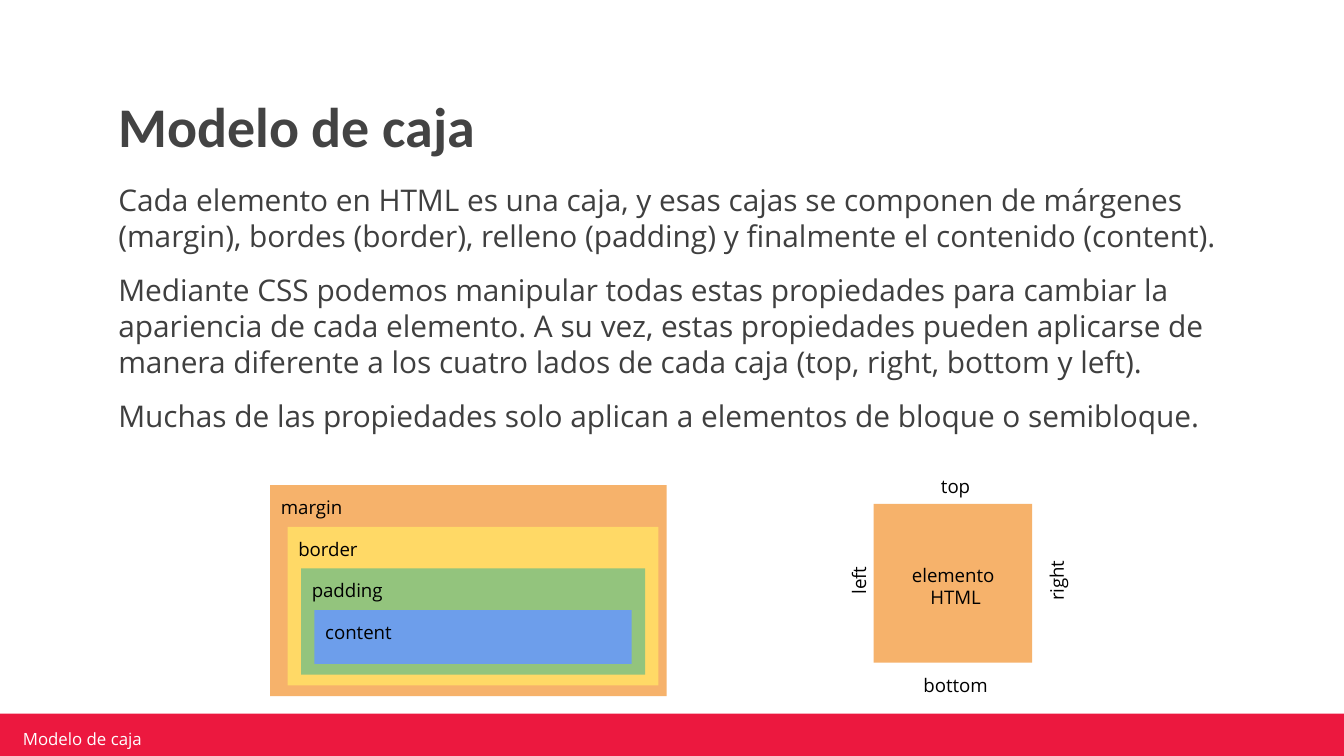
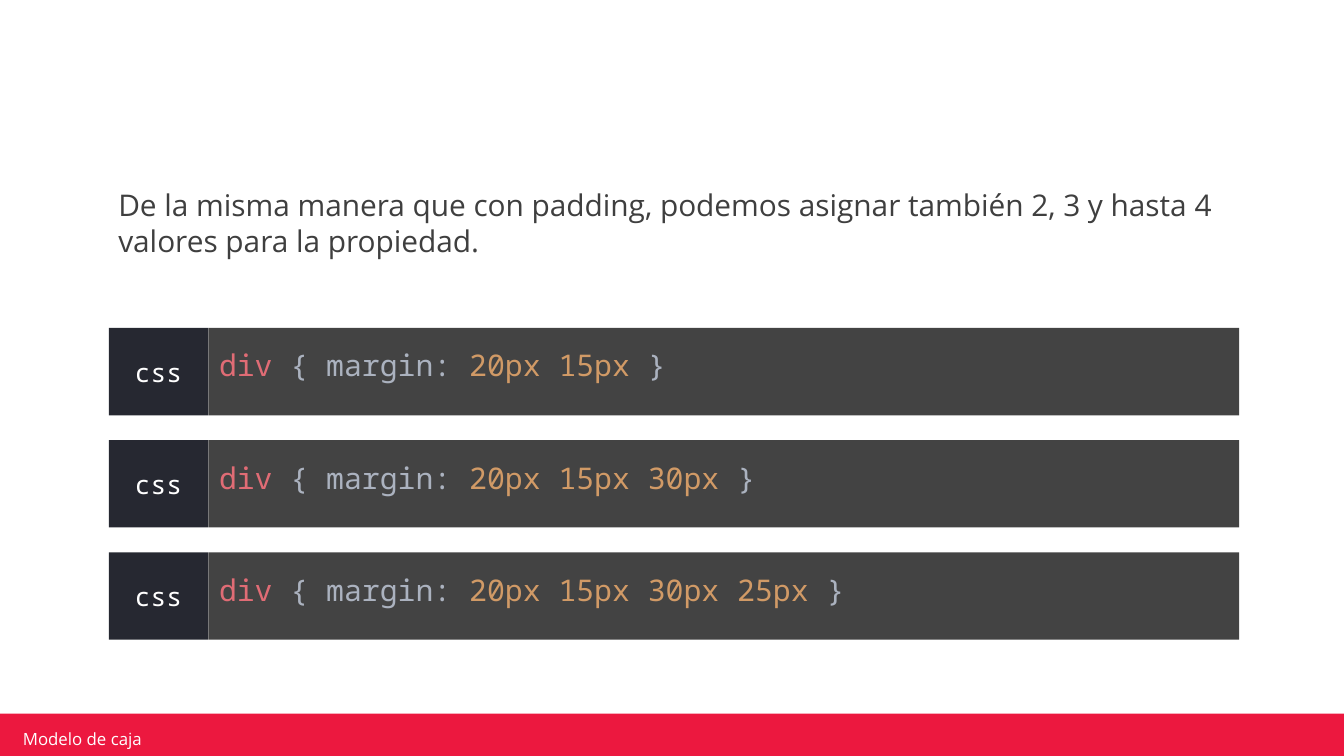
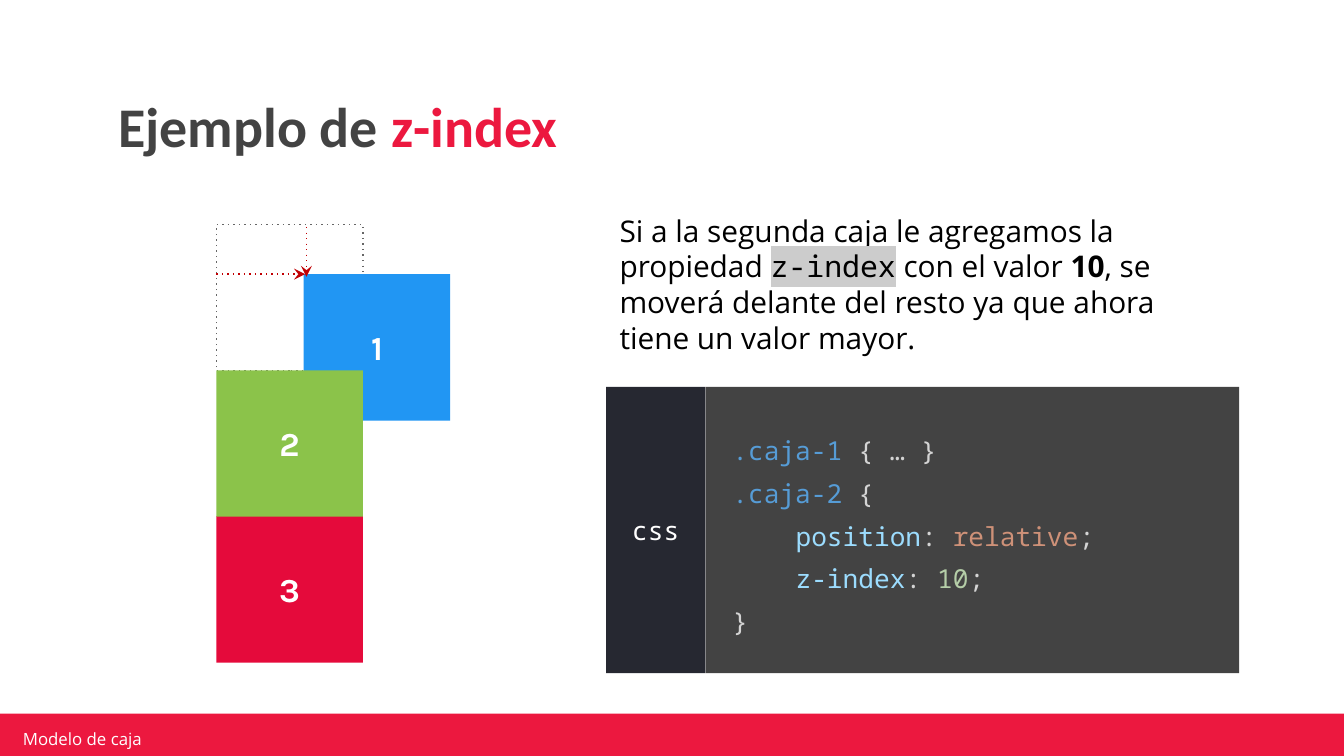
"""Build three lesson slides about the CSS box model."""
from dataclasses import dataclass

from lxml.etree import SubElement
from pptx import Presentation
from pptx.dml.color import RGBColor
from pptx.enum.dml import MSO_LINE
from pptx.enum.shapes import MSO_CONNECTOR, MSO_SHAPE
from pptx.enum.text import MSO_ANCHOR, MSO_AUTO_SIZE, PP_ALIGN
from pptx.oxml.ns import qn
from pptx.util import Inches, Pt


@dataclass(frozen=True)
class Theme:
    """Colours, fonts and sizes shared by all slides."""
    red: str = "EC183F"
    white: str = "FFFFFF"
    black: str = "000000"
    dark: str = "434343"
    text: str = "3F3F3F"
    tab: str = "262831"
    orange: str = "F6B26B"
    yellow: str = "FFD966"
    green: str = "93C47D"
    blue: str = "6D9EEB"
    first: str = "2196F3"
    second: str = "8BC34A"
    third: str = "E50A3B"
    ghost: str = "666666"
    arrow: str = "C10003"
    mark: str = "CCCCCC"
    tag: str = "E06C75"
    plain: str = "ABB2BF"
    number: str = "D19A66"
    selector: str = "569CD6"
    sign: str = "D4D4D4"
    key: str = "9CDCFE"
    word: str = "CE9178"
    digit: str = "B5CEA8"
    sans: str = "Open Sans"
    mono: str = "Noto Sans Mono"
    heading: str = "Calibri"
    display: str = "Karla"
    title_size: int = 30
    square_size: int = 18
    body_size: int = 16
    code_size: int = 14
    label_size: int = 10
    footer_size: int = 9


THEME = Theme()
TITLE = {"size": THEME.title_size, "name": THEME.heading, "color": THEME.dark, "bold": True}
BODY = {"size": THEME.body_size, "name": THEME.sans, "color": THEME.text}
INTRO = {**BODY, "color": THEME.black}
LABEL = {"size": THEME.label_size, "name": THEME.sans, "color": THEME.black}
FOOTER = {"size": THEME.footer_size, "name": THEME.sans, "color": THEME.white}
CODE = {"size": THEME.body_size, "name": THEME.mono, "color": THEME.plain}
CODE_SMALL = {"size": THEME.code_size, "name": THEME.mono, "color": THEME.sign}
TAB = {**CODE_SMALL, "color": THEME.white}
DIGIT = {"size": THEME.square_size, "name": THEME.display, "color": THEME.white, "bold": True}

EVEN = (0.1, 0.1, 0.1, 0.1)
SNUG = (0.08, 0.08, 0.04, 0.04)
CENTRED = {"alignment": PP_ALIGN.CENTER}
RIGHT_EDGE = 9.22
TAB_WIDTH = 0.74

FOOTER_TEXT = "Modelo de caja"
BOX_MODEL_TEXT = [
    "Cada elemento en HTML es una caja, y esas cajas se componen de márgenes (margin), "
    "bordes (border), relleno (padding) y finalmente el contenido (content).",
    "Mediante CSS podemos manipular todas estas propiedades para cambiar la apariencia de "
    "cada elemento. A su vez, estas propiedades pueden aplicarse de manera diferente a los "
    "cuatro lados de cada caja (top, right, bottom y left).",
    "Muchas de las propiedades solo aplican a elementos de bloque o semibloque.",
]
NESTED_BOXES = [
    ("margin", 2.01, 2.95, THEME.orange),
    ("border", 2.14, 2.76, THEME.yellow),
    ("padding", 2.24, 2.56, THEME.green),
    ("content", 2.34, 2.36, THEME.blue),
]
SIDES = [("top", 6.5, 3.45, 0), ("bottom", 6.5, 4.93, 0),
         ("left", 5.78, 4.19, 270), ("right", 7.25, 4.19, 270)]
MARGIN_TEXT = ["De la misma manera que con padding, podemos asignar también 2, 3 y hasta 4 "
               "valores para la propiedad."]
MARGIN_VALUES = ["20px 15px", "20px 15px 30px", "20px 15px 30px 25px"]
Z_INDEX_TITLE = [["Ejemplo de ", ("z-index", {"color": THEME.red})]]
Z_INDEX_TEXT = [[
    "Si a la segunda caja le agregamos la propiedad ",
    ("z-index", {"name": THEME.mono, "highlight": THEME.mark}),
    " con el valor ", ("10", {"bold": True}),
    ", se moverá delante del resto ya que ahora tiene un valor mayor.",
]]
Z_INDEX_CODE = [
    [(".caja-1", {"color": THEME.selector}), " { … }"],
    [(".caja-2", {"color": THEME.selector}), " {"],
    [("position", {"color": THEME.key}), ": ", ("relative", {"color": THEME.word}), ";"],
    [("z-index", {"color": THEME.key}), ": ", ("10", {"color": THEME.digit}), ";"],
    "}",
]
INDENTED_LINES = (2, 3)


def assign(target, values):
    """Set every named attribute of the target."""
    for name, value in values.items():
        setattr(target, name, value)


def place(box, left, top, width, height):
    """Move and size a box, in inches."""
    assign(box, dict(zip(("left", "top", "width", "height"),
                         map(Inches, (left, top, width, height)))))


def add_span(para, text, look):
    """Add one formatted run to a paragraph."""
    span = para.add_run()
    span.text = text
    assign(span.font, {"size": Pt(look["size"]), "name": look["name"],
                       "bold": look.get("bold", False)})
    span.font.color.rgb = RGBColor.from_string(look["color"])
    if "highlight" in look:
        properties = span._r.get_or_add_rPr()
        highlight = SubElement(properties, qn("a:highlight"))
        SubElement(highlight, qn("a:srgbClr"), val=look["highlight"])
        properties.find(qn("a:solidFill")).addnext(highlight)


def write(box, paragraphs, look, insets=EVEN, anchor=MSO_ANCHOR.MIDDLE, layout=None):
    """Fill a box with paragraphs of plain strings or (text, overrides) spans."""
    frame = box.text_frame
    assign(frame, {"word_wrap": True, "auto_size": MSO_AUTO_SIZE.NONE,
                   "vertical_anchor": anchor})
    sides = ("margin_left", "margin_top", "margin_right", "margin_bottom")
    assign(frame, dict(zip(sides, map(Inches, insets))))
    for index, spans in enumerate(paragraphs):
        para = frame.add_paragraph() if index else frame.paragraphs[0]
        assign(para, {"alignment": PP_ALIGN.LEFT, "space_before": Pt(0), **(layout or {})})
        for span in [spans] if isinstance(spans, str) else spans:
            text, changes = (span, {}) if isinstance(span, str) else span
            add_span(para, text, {**look, **changes})


def add_rectangle(shapes, bounds, fill=None):
    """Add a rectangle without shadow or outline."""
    box = shapes.add_shape(MSO_SHAPE.RECTANGLE, *map(Inches, bounds))
    box.shadow.inherit = False
    box.line.fill.background()
    if fill:
        box.fill.solid()
        box.fill.fore_color.rgb = RGBColor.from_string(fill)
    else:
        box.fill.background()
    return box


def dot_outline(shape, color):
    """Give a shape or connector a thin dotted line and return its XML."""
    shape.line.color.rgb = RGBColor.from_string(color)
    assign(shape.line, {"width": Pt(0.75), "dash_style": MSO_LINE.ROUND_DOT})
    outline = shape.element.spPr.find(qn("a:ln"))
    outline.find(qn("a:prstDash")).set("val", "dot")
    return outline


def add_arrow(page, start, end):
    """Add a dotted arrow between two points."""
    arrow = page.shapes.add_connector(MSO_CONNECTOR.STRAIGHT, *map(Inches, start + end))
    SubElement(dot_outline(arrow, THEME.arrow), qn("a:tailEnd"), type="stealth")
    SubElement(arrow.element.spPr, qn("a:effectLst"))


def add_code(page, left, top, height, lines, look, insets, layout):
    """Add a grouped code panel with its language tab and return the panel."""
    group = page.shapes.add_group_shape()
    start = left + TAB_WIDTH
    panel = add_rectangle(group.shapes, (start, top, RIGHT_EDGE - start, height), THEME.dark)
    write(panel, lines, look, insets, layout=layout)
    tab = add_rectangle(group.shapes, (left, top, TAB_WIDTH, height), THEME.tab)
    write(tab, ["css"], TAB, layout=CENTRED)
    return panel


def set_indent(para, left):
    """Set the left margin of a paragraph without a hanging indent."""
    properties = para._p.get_or_add_pPr()
    properties.set("marL", str(Inches(left)))
    properties.set("indent", "0")
    return properties


def add_page(deck, title, body, bounds, look=BODY, space=10):
    """Add a page with its title, if any, and body text."""
    page = deck.slides.add_slide(deck.slide_layouts[1])
    heading, content = page.placeholders
    if title:
        place(heading, 0.78, 0.6, 8.43, 0.69)
        write(heading, title, TITLE, anchor=MSO_ANCHOR.BOTTOM, layout={"line_spacing": 0.9})
    else:
        heading.element.getparent().remove(heading.element)
    place(content, *bounds)
    write(content, body, look, anchor=MSO_ANCHOR.TOP, layout={"space_before": Pt(space)})
    for para in content.text_frame.paragraphs:
        SubElement(set_indent(para, 0), qn("a:buNone"))
    return page


def add_footer(page):
    """Put the red band and its text on the layout of the page."""
    layout = page.slide_layout
    for holder in list(layout.placeholders)[2:]:
        holder.element.getparent().remove(holder.element)
    band = add_rectangle(page.shapes, (-0.02, 5.31, 10.03, 0.36), THEME.red)
    label = page.shapes.add_textbox(*map(Inches, (0.12, 5.42, 2.39, 0.15)))
    write(label, [FOOTER_TEXT], FOOTER, (0.05, 0.02, 0.05, 0.02))
    for box in (band, label):
        layout.shapes.element.append(box.element)


def build_box_model(deck):
    """Explain the parts and the sides of a box."""
    page = add_page(deck, ["Modelo de caja"], BOX_MODEL_TEXT, (0.78, 1.25, 8.43, 1.36))
    add_footer(page)
    for index, (name, left, width, fill) in enumerate(NESTED_BOXES):
        bounds = (left, 3.61 + 0.31 * index, width, 1.57 - 0.39 * index)
        write(add_rectangle(page.shapes, bounds, fill), [name], LABEL, SNUG, MSO_ANCHOR.TOP)
    element = add_rectangle(page.shapes, (6.5, 3.75, 1.18, 1.18), THEME.orange)
    write(element, ["elemento ", "HTML"], LABEL, SNUG, layout=CENTRED)
    for name, left, top, rotation in SIDES:
        side = page.shapes.add_textbox(*map(Inches, (left, top, 1.18, 0.3)))
        side.rotation = rotation
        write(side, [name], LABEL, SNUG, layout=CENTRED)


def build_margin_values(deck):
    """Show margins with two, three and four values."""
    page = add_page(deck, None, MARGIN_TEXT, (0.78, 1.29, 8.43, 1.36))
    first_top, last_top = 2.44, 4.11
    pitch = (last_top - first_top) / (len(MARGIN_VALUES) - 1)
    for index, values in enumerate(MARGIN_VALUES):
        line = [("div ", {"color": THEME.tag}), "{ margin: ",
                (values, {"color": THEME.number}), " }"]
        add_code(page, 0.81, first_top + pitch * index, 0.65, [line], CODE,
                 (0.08, 0, 0.1, 0.1), {"space_before": Pt(6)})


def build_z_index(deck):
    """Show stacked boxes beside the code that orders them."""
    page = add_page(deck, Z_INDEX_TITLE, Z_INDEX_TEXT, (4.51, 1.48, 4.71, 1.02), INTRO, 0)
    panel = add_code(page, 4.51, 2.88, 2.13, Z_INDEX_CODE, CODE_SMALL,
                     (0.2, 0, 0.1, 0), {"line_spacing": 1.36})
    for index in INDENTED_LINES:
        set_indent(panel.text_frame.paragraphs[index], 0.47)

    side, left = 1.09, 1.61
    ghost_top, last_top = 1.67, 3.84
    moved_left, moved_top = 2.26, 2.04

    def add_numbered(number, box_left, box_top, fill):
        """Add one numbered square."""
        square = add_rectangle(page.shapes, (box_left, box_top, side, side), fill)
        write(square, [number], DIGIT, layout=CENTRED)

    ghost = add_rectangle(page.shapes, (left, ghost_top, side, side))
    dot_outline(ghost, THEME.ghost)
    add_numbered("3", left, last_top, THEME.third)
    add_numbered("1", moved_left, moved_top, THEME.first)
    add_arrow(page, (left, moved_top), (2.27, moved_top))
    add_arrow(page, (2.28, 1.69), (2.28, 2.06))
    add_numbered("2", left, (ghost_top + last_top) / 2, THEME.second)


def main():
    """Build and save the deck."""
    deck = Presentation()
    width = Inches(10)
    assign(deck, {"slide_width": width, "slide_height": width * 9 // 16})
    for build in (build_box_model, build_margin_values, build_z_index):
        build(deck)
    deck.save("out.pptx")


if __name__ == "__main__":
    main()
